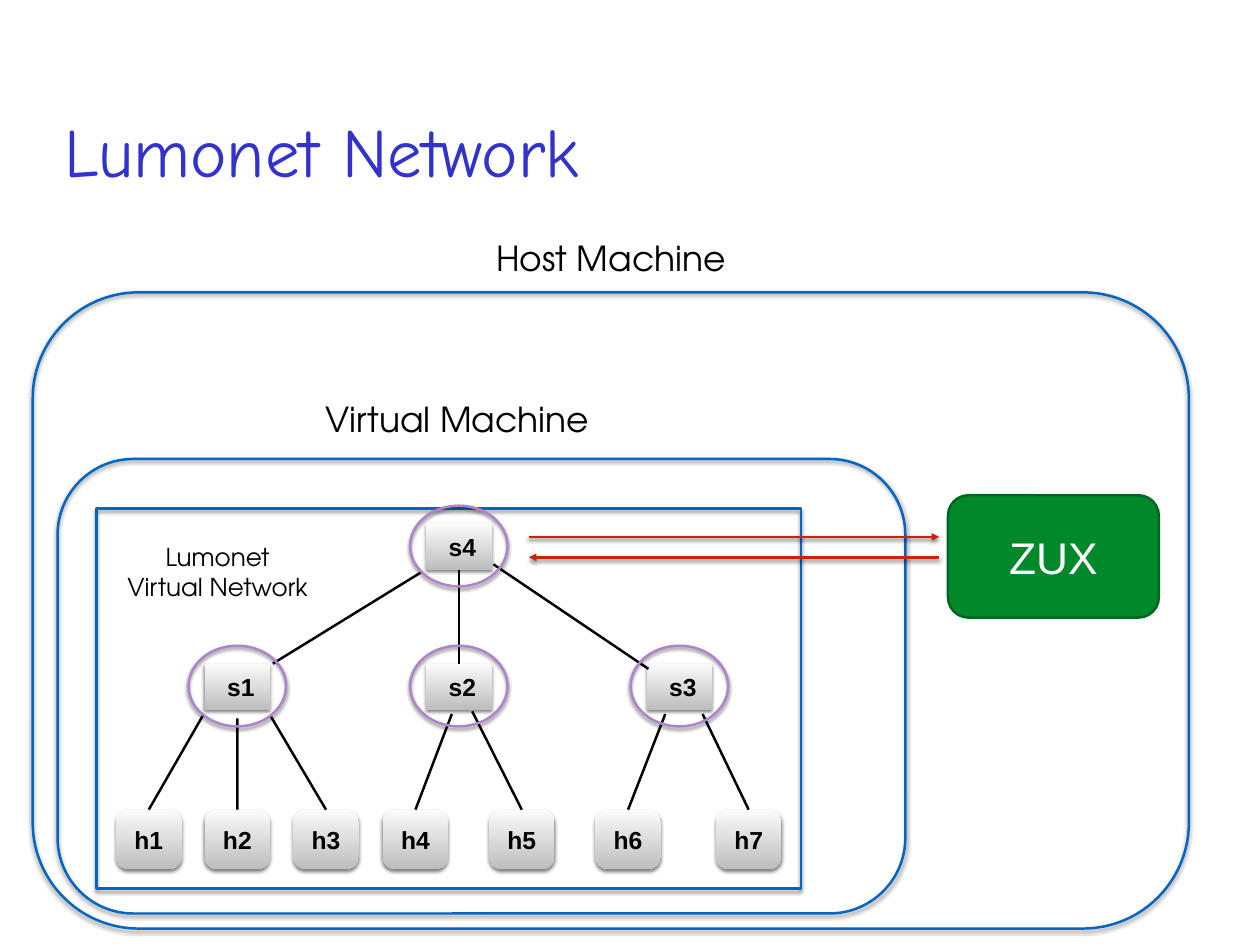
"""Build the Lumonet Network slide: a switch tree in a virtual machine, driven by ZUX."""
import lxml.etree
import pptx
import pptx.dml.color
import pptx.enum.shapes
import pptx.enum.text
import pptx.oxml.ns
import pptx.util

Pt = pptx.util.Pt
RGB = pptx.dml.color.RGBColor.from_string
qn = pptx.oxml.ns.qn
SHAPE = pptx.enum.shapes.MSO_SHAPE
STRAIGHT = pptx.enum.shapes.MSO_CONNECTOR.STRAIGHT
ALIGN = pptx.enum.text.PP_ALIGN

COLORS = {
    "title": "3333CC", "text": "000000", "frame": "0365C0", "ring": "AF82CC",
    "node_top": "FBFBFB", "node_bottom": "BEBEBE", "link": "000000",
    "controller": "00882B", "controller_edge": "006520",
    "controller_text": "FFFFFF", "message": "C82506",
}
HEADING, LABEL, PLAIN = "Comic Neue", "TeX Gyre Adventor", "Arial"


def shade(item):
    """Give an item a soft shadow straight below it."""
    effects = lxml.etree.SubElement(item._element.spPr, qn("a:effectLst"))
    shadow = lxml.etree.SubElement(
        effects, qn("a:outerShdw"), blurRad=str(Pt(3)), dist=str(Pt(2)), dir="5400000", rotWithShape="0")
    black = lxml.etree.SubElement(shadow, qn("a:srgbClr"), val="000000")
    lxml.etree.SubElement(black, qn("a:alpha"), val="50000")


def write(item, text, font, size, color, bold=False, align=ALIGN.CENTER, inset=4):
    """Put formatted, vertically centred text into an item."""
    frame = item.text_frame
    frame.text = text
    frame.word_wrap = True
    frame.auto_size = pptx.enum.text.MSO_AUTO_SIZE.NONE
    frame.vertical_anchor = pptx.enum.text.MSO_ANCHOR.MIDDLE
    frame.margin_left = frame.margin_right = frame.margin_top = frame.margin_bottom = Pt(inset)
    for paragraph in frame.paragraphs:
        paragraph.alignment = align
        for run in paragraph.runs:
            run.font.name, run.font.size, run.font.bold = font, Pt(size), bold
            run.font.color.rgb = RGB(COLORS[color])


deck = pptx.Presentation()
deck.slide_width, deck.slide_height = Pt(1024), Pt(768)
slide = deck.slides.add_slide(deck.slide_layouts[5])
shapes = slide.shapes

title = shapes.title
title.left, title.top, title.width, title.height = Pt(47.5), Pt(57.5), Pt(870.5), Pt(128)
write(title, "Lumonet Network", HEADING, 56, "title", align=ALIGN.LEFT, inset=5)

frames = [
    (SHAPE.ROUNDED_RECTANGLE, (46.8, 373, 689, 369.4)),
    (SHAPE.ROUNDED_RECTANGLE, (26.6, 237.6, 939.6, 517)),
    (SHAPE.RECTANGLE, (78.5, 413.3, 572.4, 308.9)),
]
for outline, box in frames:
    frame = shapes.add_shape(outline, *map(Pt, box))
    frame.fill.background()
    frame.line.color.rgb, frame.line.width = RGB(COLORS["frame"]), Pt(2)
    shade(frame)

captions = [
    ("Virtual Machine", 28, (250.6, 319, 242, 41.8)),
    ("Host Machine", 28, (365, 188.6, 262.8, 41.8)),
    ("Lumonet\nVirtual Network", 20, (88.6, 436.3, 176.4, 56.9)),
]
for text, size, box in captions:
    write(shapes.add_textbox(*map(Pt, box)), text, LABEL, size, "text")

NODE_WIDTH, SWITCH_HEIGHT, HOST_HEIGHT = 53.3, 37.4, 48.2
switch_places = {"s1": (166.3, 539.3), "s4": (346.3, 425.5), "s2": (346.3, 539.3), "s3": (525.6, 539.3)}
host_lefts = {"h1": 94.3, "h2": 166.3, "h3": 238.3, "h4": 311, "h5": 397.4, "h6": 483.8, "h7": 581.8}
node_specs = [(name, " " + name, SHAPE.RECTANGLE, left, top, SWITCH_HEIGHT)
              for name, (left, top) in switch_places.items()]
node_specs += [(name, name, SHAPE.ROUNDED_RECTANGLE, left, 658, HOST_HEIGHT)
               for name, left in host_lefts.items()]
nodes = {}
for name, text, outline, left, top, height in node_specs:
    node = shapes.add_shape(outline, Pt(left), Pt(top), Pt(NODE_WIDTH), Pt(height))
    if outline == SHAPE.ROUNDED_RECTANGLE:
        node.adjustments[0] = 0.21
    node.fill.gradient()
    node.fill.gradient_angle = 270
    for stop, shade_name, position in zip(node.fill.gradient_stops, ("node_top", "node_bottom"), (0, 1)):
        stop.color.rgb, stop.position = RGB(COLORS[shade_name]), position
    node.line.fill.background()
    shade(node)
    write(node, text, PLAIN, 20, "text", bold=True)
    nodes[name] = node

links = [shapes.add_connector(STRAIGHT, *map(Pt, ends))
         for ends in ((221.8, 539.3, 343.4, 464.4), (527, 543.6, 401, 458.6))]
trunk = shapes.add_connector(STRAIGHT, 0, 0, 0, 0)
trunk.begin_connect(nodes["s2"], 0)
trunk.end_connect(nodes["s4"], 2)
links.append(trunk)
uplinks = {"h1": (165.6, 580.3), "h2": (193, 583.9), "h3": (220.3, 582.5), "h4": (367.2, 580.3),
           "h5": (383.8, 578.2), "h6": (540.7, 580.3), "h7": (571, 580.3)}
for host, (x, y) in uplinks.items():
    uplink = shapes.add_connector(STRAIGHT, 0, 0, Pt(x), Pt(y))
    uplink.begin_connect(nodes[host], 0)
    links.append(uplink)
for link in links:
    link.line.color.rgb, link.line.width = RGB(COLORS["link"]), Pt(2)
    lxml.etree.SubElement(link._element.spPr, qn("a:effectLst"))

for left, top in switch_places.values():
    ring = shapes.add_shape(SHAPE.OVAL, Pt(left - 13), Pt(top - 14.5), Pt(79.2), Pt(65.5))
    ring.fill.background()
    ring.line.color.rgb, ring.line.width = RGB(COLORS["ring"]), Pt(2)
    shade(ring)

controller = shapes.add_shape(SHAPE.ROUNDED_RECTANGLE, Pt(770.4), Pt(402.5), Pt(171.4), Pt(99.4))
controller.shadow.inherit = False
controller.fill.solid()
controller.fill.fore_color.rgb = RGB(COLORS["controller"])
controller.line.color.rgb, controller.line.width = RGB(COLORS["controller_edge"]), Pt(2)
write(controller, "ZUX", PLAIN, 36, "controller_text")

for start, end, y in ((429.8, 763.2, 436.3), (763.2, 429.8, 452.9)):
    message = shapes.add_connector(STRAIGHT, Pt(start), Pt(y), Pt(end), Pt(y))
    message.line.color.rgb, message.line.width = RGB(COLORS["message"]), Pt(2)
    lxml.etree.SubElement(message.line._get_or_add_ln(), qn("a:tailEnd"), type="triangle")
    shade(message)

deck.save("out.pptx")
